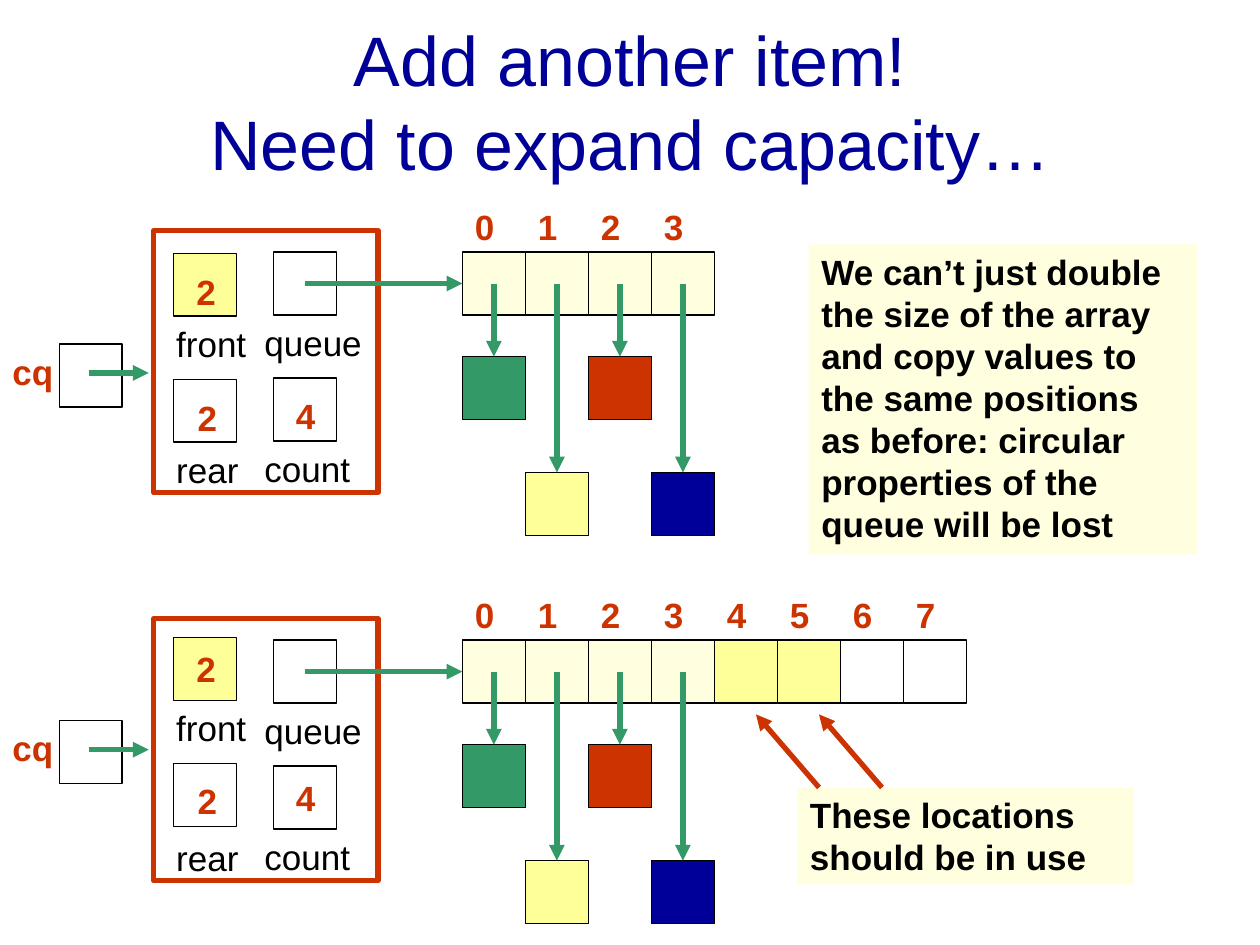
import pptx
import pptx.util
import pptx.dml.color
import pptx.enum.shapes
import pptx.enum.text
import pptx.oxml.ns
import lxml.etree

RGB = pptx.dml.color.RGBColor
INK = RGB(0x00, 0x00, 0x00)
NAVY = RGB(0x00, 0x00, 0x99)
RED = RGB(0xCC, 0x33, 0x00)
GREEN = RGB(0x33, 0x99, 0x66)
CREAM = RGB(0xFF, 0xFF, 0xDF)
YELLOW = RGB(0xFF, 0xFF, 0x99)

CELL = 0.5
LABEL_HEIGHT = 0.43
ARRAY_COLUMN = 3.67
ITEMS = [(GREEN, 0.83), (YELLOW, 1.75), (RED, 0.83), (NAVY, 1.75)]


def inches(*lengths):
    return [pptx.util.Inches(length) for length in lengths]


def write(frame, wording, color, bold, size=20):
    frame.word_wrap = True
    frame.text = wording
    for paragraph in frame.paragraphs:
        for run in paragraph.runs:
            font = run.font
            font.name, font.size, font.bold = "Arial", pptx.util.Pt(size), bold
            font.color.rgb = color


def add_box(shapes, left, top, width=CELL, height=CELL, fill=None, border=INK, weight=0.75):
    box = shapes.add_shape(pptx.enum.shapes.MSO_SHAPE.RECTANGLE,
                           *inches(left, top, width, height))
    box.shadow.inherit = False
    if fill is None:
        box.fill.background()
    else:
        box.fill.solid()
        box.fill.fore_color.rgb = fill
    if border is None:
        box.line.fill.background()
    else:
        box.line.color.rgb = border
        box.line.width = pptx.util.Pt(weight)
    return box


def add_label(shapes, wording, left, top, width, color=RED, bold=True):
    label = shapes.add_textbox(*inches(left, top, width, LABEL_HEIGHT))
    write(label.text_frame, wording, color, bold)


def add_arrow(shapes, start, end, color=GREEN):
    arrow = shapes.add_connector(pptx.enum.shapes.MSO_CONNECTOR.STRAIGHT,
                                 *inches(*start, *end))
    arrow.line.color.rgb = color
    arrow.line.width = pptx.util.Pt(3)
    qn = pptx.oxml.ns.qn
    lxml.etree.SubElement(arrow.line._get_or_add_ln(), qn("a:tailEnd"), type="triangle")
    lxml.etree.SubElement(arrow._element.spPr, qn("a:effectLst"))


def add_note(shapes, wording, left, top, width, height):
    note = add_box(shapes, left, top, width, height, CREAM, None)
    write(note.text_frame, wording, INK, True)
    note.text_frame.vertical_anchor = pptx.enum.text.MSO_ANCHOR.TOP
    note.text_frame.paragraphs[0].alignment = pptx.enum.text.PP_ALIGN.LEFT


def add_title(slide, wording, left, top, width, height):
    title = slide.shapes.title
    title.left, title.top, title.width, title.height = inches(left, top, width, height)
    write(title.text_frame, wording, NAVY, False, 40)
    title.text_frame.auto_size = pptx.enum.text.MSO_AUTO_SIZE.NONE
    title.text_frame.vertical_anchor = pptx.enum.text.MSO_ANCHOR.MIDDLE
    title.text_frame.paragraphs[0].alignment = pptx.enum.text.PP_ALIGN.CENTER


def add_reference(shapes, top):
    add_label(shapes, "cq", 0, top, 0.94)
    add_box(shapes, 0.47, top)
    add_arrow(shapes, (0.71, top + 0.23), (1.18, top + 0.23))


def add_fields(shapes, left, top, index_shift, value_drops):
    front_drop, rear_drop, count_drop = value_drops
    index_column, right_column = left + 0.16, left + 0.95
    row = 2 * CELL
    add_box(shapes, index_column, top + index_shift, fill=YELLOW)
    add_box(shapes, index_column, top + index_shift + row)
    add_box(shapes, right_column, top)
    add_box(shapes, right_column, top + row)
    add_label(shapes, "front", left + 0.08, top + CELL + index_shift, 0.83, INK, False)
    add_label(shapes, "rear", left + 0.08, top + CELL + row + 0.01, 0.92, INK, False)
    add_label(shapes, "queue", left + 0.78, top + CELL, 1, INK, False)
    add_label(shapes, "count", left + 0.78, top + CELL + row, 1, INK, False)
    add_label(shapes, "2", left + 0.24, top + front_drop, 0.58)
    add_label(shapes, "2", left + 0.25, top + row + rear_drop, 0.39)
    add_label(shapes, "4", left + 1.03, top + row + count_drop, 0.39)
    add_box(shapes, left, top - 0.17, 1.78, 2.08, border=RED, weight=3)


def add_array(shapes, left, top, fills):
    middle = top + CELL / 2
    for index, fill in enumerate(fills):
        column = left + index * CELL
        add_label(shapes, str(index), column, top - 0.42, 0.39)
        add_box(shapes, column, top, fill=fill)
    for index, (color, drop) in enumerate(ITEMS):
        column = left + index * CELL
        center = column + CELL / 2
        add_box(shapes, column, top + drop, fill=color)
        add_arrow(shapes, (center, middle), (center, top + drop))


def add_queue(slide, top, fills, reference_drop, index_shift, value_drops):
    shapes = slide.shapes.add_group_shape().shapes
    add_reference(shapes, top + reference_drop)
    add_fields(shapes, 1.22, top, index_shift, value_drops)
    add_array(shapes, ARRAY_COLUMN, top, fills)
    add_arrow(shapes, (2.42, top + CELL / 2), (ARRAY_COLUMN, top + CELL / 2))


def add_unused_callout(slide, left, top):
    add_note(slide.shapes, "These locations should be in use", left, top, 2.67, 0.77)
    for column in range(2):
        start = left + 0.17 + column * CELL
        add_arrow(slide.shapes, (start, top), (start - CELL, top - 0.58), RED)


def main():
    deck = pptx.Presentation()
    deck.slide_width, deck.slide_height = inches(10, 7.5)
    slide = deck.slides.add_slide(deck.slide_layouts[5])
    add_title(slide, "Add another item!\vNeed to expand capacity…", 0.75, 0.17, 8.5, 1.25)
    add_note(slide.shapes,
             "We can’t just double the size of the array and copy values to the same "
             "positions as before: circular properties of the queue will be lost",
             6.42, 1.94, 3.08, 2.46)
    add_queue(slide, 2, [CREAM] * 4, 0.73, 0.01, (0.1, 0.1, 0.08))
    add_queue(slide, 5.08, [CREAM] * 4 + [YELLOW] * 2 + [None] * 2,
              0.64, -0.02, (0.01, 0.06, 0.03))
    add_unused_callout(slide, 6.33, 6.25)
    deck.save("out.pptx")


if __name__ == "__main__":
    main()
